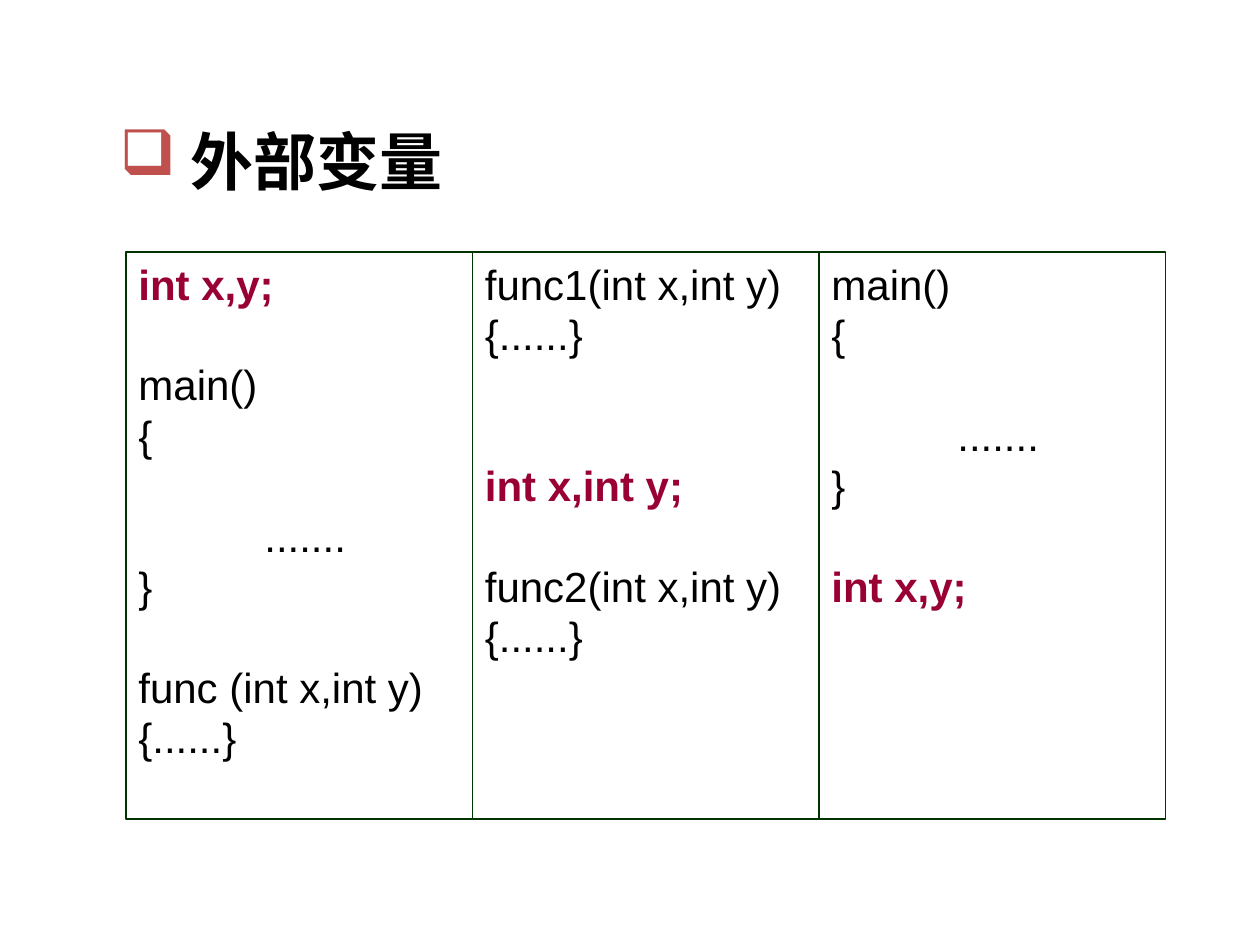
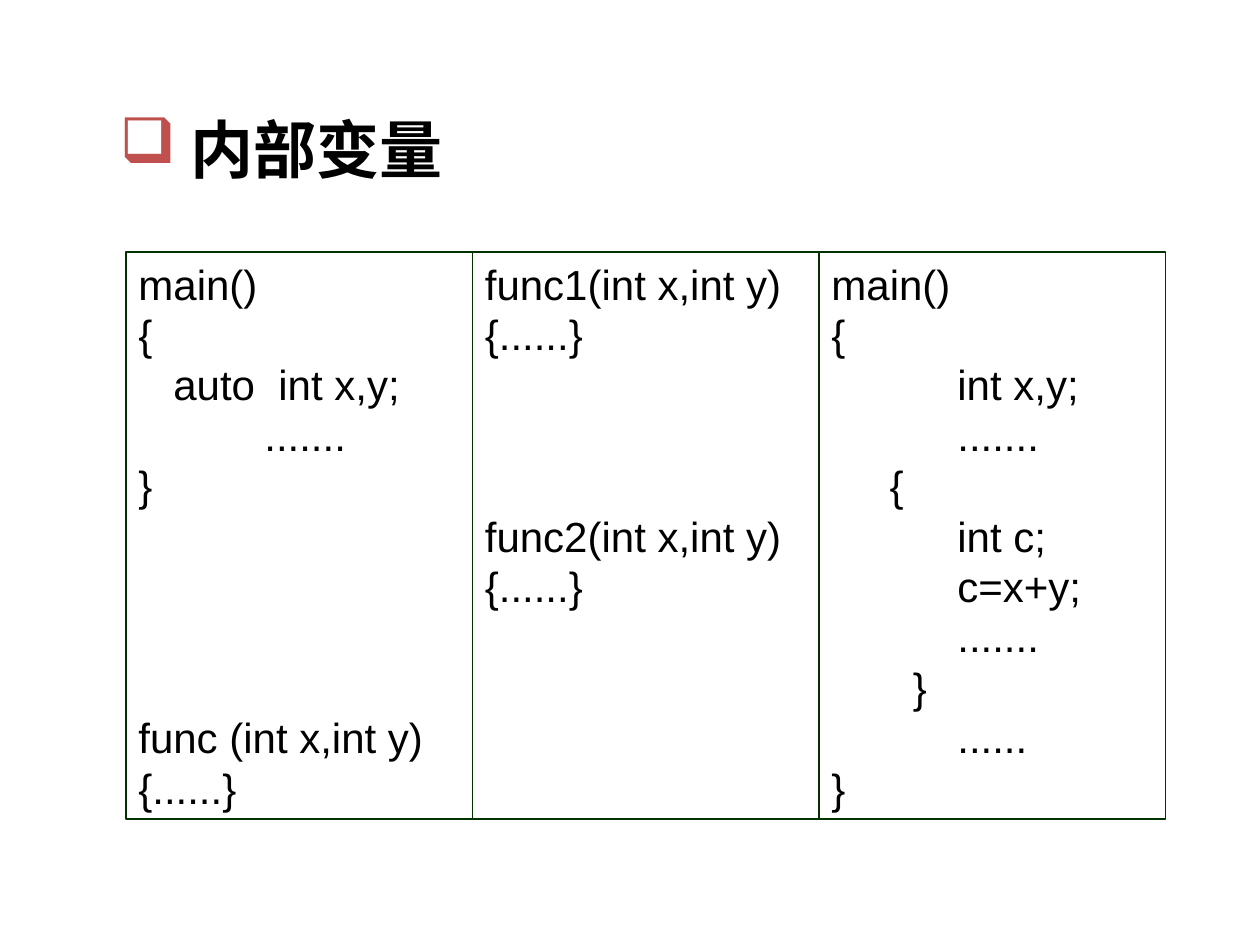
from lxml.etree import SubElement
from pptx import Presentation
from pptx.dml.color import RGBColor
from pptx.enum.shapes import MSO_SHAPE
from pptx.enum.text import MSO_ANCHOR, MSO_AUTO_SIZE, PP_ALIGN
from pptx.oxml.ns import qn
from pptx.util import Inches, Pt

# Shared style
BLACK = "000000"
BULLET_RED = "C0504D"
BORDER_GREEN = "003300"
DECLARATION_RED = "990033"
LINE_HEIGHT = 28.8
COLUMN_WIDTH = 2.75


def color(hex_text):
    return RGBColor.from_string(hex_text)


def format_text(para, font_name, size, hex_text, bold):
    para.alignment = PP_ALIGN.LEFT
    para.font.name = font_name
    para.font.size = Pt(size)
    para.font.bold = bold
    para.font.color.rgb = color(hex_text)


# Each page: heading, heading top, code columns, highlighted declarations
pages = [
    ("外部变量", 0.92, [
        "int x,y;\n\nmain()\n{\n\n\t.......\n}\n\nfunc (int x,int y)\n{......}",
        "func1(int x,int y)\n{......}\n\n\nint x,int y;\n\nfunc2(int x,int y)\n{......}",
        "main()\n{\n\n\t.......\n}\n\nint x,y;",
    ], {"int x,y;", "int x,int y;"}),
    ("内部变量", 0.83, [
        "main()\n{\n   auto  int x,y;\n\t.......\n}\n\n\n\n\nfunc (int x,int y)\n{......}",
        "func1(int x,int y)\n{......}\n\n\n\nfunc2(int x,int y)\n{......}",
        "main()\n{\n\tint x,y;\n\t.......\n     {\n\tint c;\n\tc=x+y;\n\t.......\n       }\n\t......\n}",
    ], set()),
]

deck = Presentation()
deck.slide_width, deck.slide_height = Inches(10), Inches(7.5)

for heading, heading_top, columns, declarations in pages:
    page = deck.slides.add_slide(deck.slide_layouts[5])

    # Heading with a square bullet
    title = page.shapes.title
    title.left, title.top = Inches(0.85), Inches(heading_top)
    title.width, title.height = Inches(2.78), Inches(0.7)
    frame = title.text_frame
    frame.text = " " + heading
    frame.word_wrap = False
    frame.auto_size = MSO_AUTO_SIZE.SHAPE_TO_FIT_TEXT
    frame.vertical_anchor = MSO_ANCHOR.TOP
    para = frame.paragraphs[0]
    properties = para._p.get_or_add_pPr()
    properties.set("marL", "0")
    properties.set("indent", "0")
    bullet_color = SubElement(properties, qn("a:buClr"))
    SubElement(bullet_color, qn("a:srgbClr"), val=BULLET_RED)
    SubElement(properties, qn("a:buChar"), char="❑")
    format_text(para, "Times New Roman", 36, BLACK, True)

    # Three adjoining code boxes
    for index, code in enumerate(columns):
        box = page.shapes.add_shape(
            MSO_SHAPE.RECTANGLE, Inches(1 + index * COLUMN_WIDTH), Inches(2),
            Inches(COLUMN_WIDTH), Inches(4.5))
        box.shadow.inherit = False
        box.fill.background()
        box.line.color.rgb = color(BORDER_GREEN)
        box.line.width = Pt(0.75)
        frame = box.text_frame
        frame.word_wrap = True
        frame.vertical_anchor = MSO_ANCHOR.TOP

        # Empty code lines become space before the next line
        para, empty_lines = frame.paragraphs[0], 0
        for number, line in enumerate(code.split("\n")):
            if not line:
                empty_lines += 1
                continue
            if number:
                para = frame.add_paragraph()
            para.text = line
            tabs = SubElement(para._p.get_or_add_pPr(), qn("a:tabLst"))
            SubElement(tabs, qn("a:tab"), pos=str(Inches(1)), algn="l")
            para.line_spacing = Pt(LINE_HEIGHT)
            if empty_lines:
                para.space_before = Pt(empty_lines * LINE_HEIGHT)
            declared = line in declarations
            format_text(para, "Arial", 24, DECLARATION_RED if declared else BLACK, declared)
            empty_lines = 0

deck.save("out.pptx")
